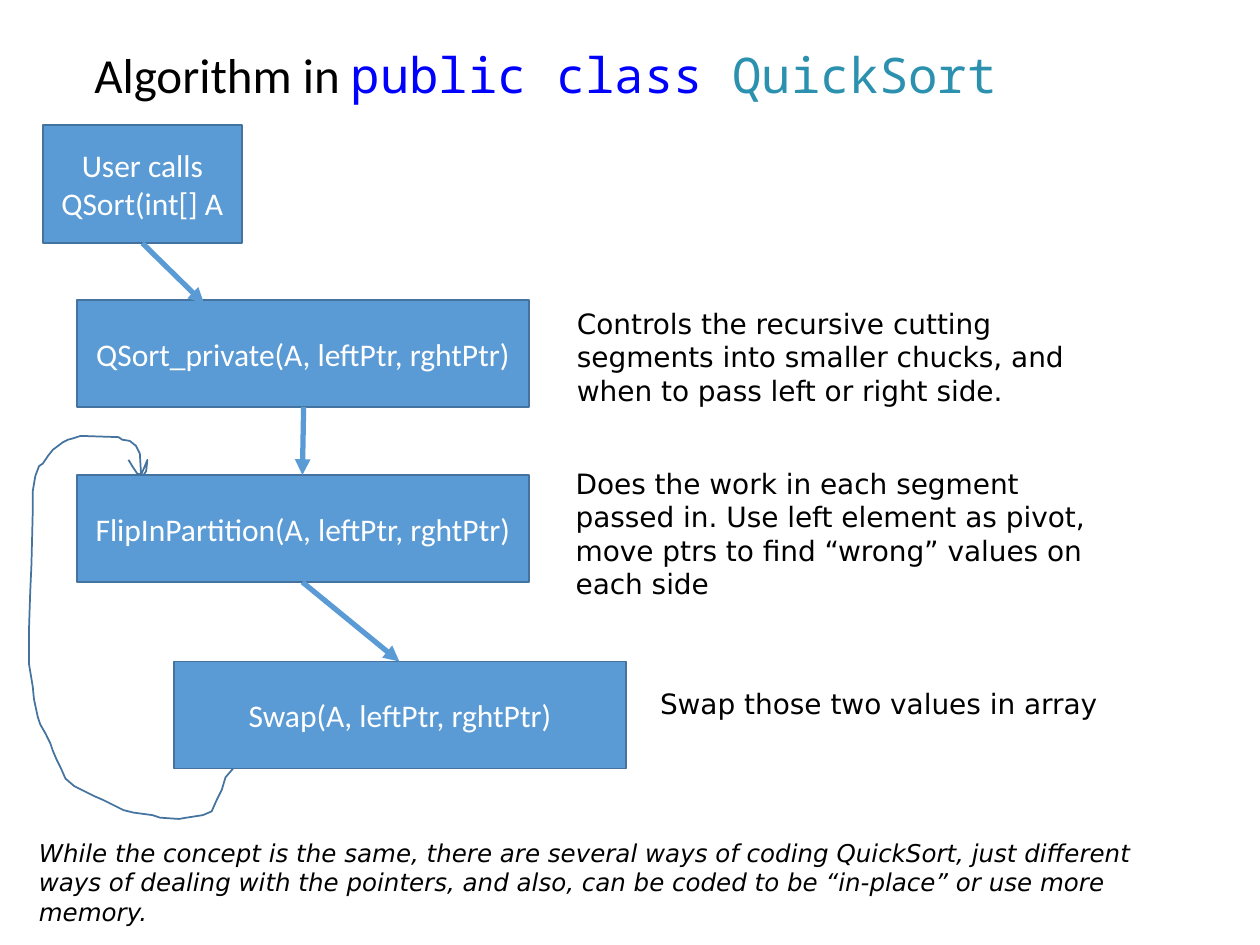
from lxml import etree
from pptx import Presentation
from pptx import util as u
from pptx.dml.color import RGBColor
from pptx.enum import shapes, text
from pptx.oxml.ns import qn

COLORS = {"ink": "000000", "white": "FFFFFF", "box": "5B9BD5", "edge": "43739E",
          "keyword": "0000FF", "type": "2B91AF"}

deck = Presentation()
deck.slide_width, deck.slide_height = u.Inches(10), u.Inches(7.5)
page = deck.slides.add_slide(deck.slide_layouts[6])

# Grid of 100 columns by 75 rows
COL = deck.slide_width / 100
ROW = deck.slide_height / 75


def grid(*lengths):
    """Turn alternating column and row counts into slide lengths."""
    return [round(n * (ROW if i % 2 else COL)) for i, n in enumerate(lengths)]


def write(box, *spans, size=16, font="DejaVu Sans", color="ink", italic=None,
          align=text.PP_ALIGN.LEFT, anchor=text.MSO_ANCHOR.TOP, spacing=None):
    """Fill box with one paragraph; a span is a string or (string, font, color)."""
    frame = box.text_frame
    frame.word_wrap = True
    frame.vertical_anchor = anchor
    para = frame.paragraphs[0]
    para.alignment = align
    para.line_spacing = spacing
    for span in spans:
        words, face, shade = (span, font, color) if isinstance(span, str) else span
        run = para.add_run()
        run.text = words
        run.font.name, run.font.size, run.font.italic = face, u.Pt(size), italic
        run.font.color.rgb = RGBColor.from_string(COLORS[shade])


# Title
MONO = "Noto Sans Mono"
title = page.shapes.add_textbox(*grid(6.5, 1.9, 86.2, 8.5))
write(title, "Algorithm in ", ("public ", MONO, "keyword"), ("class ", MONO, "keyword"),
      ("QuickSort", MONO, "type"), size=28, font="Calibri",
      anchor=text.MSO_ANCHOR.MIDDLE, spacing=0.9)

# Call boxes
STEP_W, STEP_H = 35.9, 8.5
calls = [
    ("User calls QSort(int[] A", 3.4, 9.9, 15.8, 9.4),
    ("QSort_private(A, leftPtr, rghtPtr)", 6.1, 23.8, STEP_W, STEP_H),
    ("FlipInPartition(A, leftPtr, rghtPtr)", 6.1, 37.7, STEP_W, STEP_H),
    ("Swap(A, leftPtr, rghtPtr)", 13.8, 52.5, STEP_W, STEP_H),
]
for words, *place in calls:
    box = page.shapes.add_shape(shapes.MSO_SHAPE.RECTANGLE, *grid(*place))
    box.shadow.inherit = False
    box.fill.solid()
    box.fill.fore_color.rgb = RGBColor.from_string(COLORS["box"])
    box.line.color.rgb = RGBColor.from_string(COLORS["edge"])
    box.line.width = u.Pt(1)
    write(box, words, size=18, font="Calibri", color="white",
          align=text.PP_ALIGN.CENTER, anchor=text.MSO_ANCHOR.MIDDLE)

# Arrows from each call to the next
for ends in [(11.3, 19.3, 16.2, 24.1), (24.1, 32.3, 24, 37.7), (24, 46.2, 31.7, 52.5)]:
    arrow = page.shapes.add_connector(shapes.MSO_CONNECTOR.STRAIGHT, *grid(*ends))
    arrow.line.color.rgb = RGBColor.from_string(COLORS["box"])
    arrow.line.width = u.Pt(3)
    etree.SubElement(arrow.line._get_or_add_ln(), qn("a:tailEnd"), type="triangle")
    etree.SubElement(arrow._element.spPr, qn("a:effectLst"))

# Hand-drawn return from Swap to FlipInPartition, ending in its arrowhead
loop = [
    (18.5, 61), (17.9, 61.7), (17.6, 62.7), (17.2, 63.5), (16.8, 64.4), (16.1, 64.7),
    (14.8, 64.9), (14.2, 65), (12.7, 64.9), (12.1, 64.7), (10.6, 64.5), (9.8, 64.3),
    (9, 63.9), (8.2, 63.5), (7.5, 63.2), (6.9, 62.9), (5.9, 62.4), (5.2, 61.8),
    (4.8, 60.9), (4.5, 60.3), (4.2, 59.6), (4, 59), (3.6, 58.2), (3.2, 57.5),
    (3, 56.9), (2.7, 55.5), (2.6, 54.5), (2.3, 52.7), (2.3, 50), (2.4, 47),
    (2.5, 44.8), (2.6, 40.6), (2.6, 39), (2.8, 37.8), (3.1, 37), (3.4, 36.8),
    (3.8, 36.2), (4.2, 35.7), (4.6, 35.4), (5, 35.1), (5.4, 34.9), (5.8, 34.8),
    (6.4, 34.6), (9.4, 34.7), (9.7, 34.9), (10.3, 35), (10.8, 35.4), (11.1, 36),
    (11.2, 37.7), (11.5, 37), (11.7, 36.5), (11.6, 37.4), (11.4, 37.7), (10.9, 37.6),
    (10.5, 37), (10.2, 36.5),
]
pen = page.shapes.build_freeform(*grid(*loop[0]))
pen.add_line_segments([grid(*point) for point in loop[1:]], close=False)
return_loop = pen.convert_to_shape()
return_loop.shadow.inherit = False
return_loop.fill.background()
return_loop.line.color.rgb = RGBColor.from_string(COLORS["edge"])
return_loop.line.width = u.Pt(1)

# Explanations beside the calls
notes = [
    ("Controls the recursive cutting segments into smaller chucks, and when to pass "
     "left or right side.", 44.8, 23.8, 45.2, 9.1),
    ("Does the work in each segment passed in. Use left element as pivot, move ptrs "
     "to find “wrong” values on each side", 44.7, 36.5, 45.2, 11.8),
    ("Swap those two values in array", 51.4, 54, 39.3, 3.7),
]
for words, *place in notes:
    write(page.shapes.add_textbox(*grid(*place)), words)

# Closing remark
remark = page.shapes.add_textbox(*grid(2.1, 66, 92.5, 8.1))
write(remark, "While the concept is the same, there are several ways of coding QuickSort, "
      "just different ways of dealing with the pointers, and also, can be coded to be "
      "“in-place” or use more memory.", size=14, italic=True)

deck.save("out.pptx")
